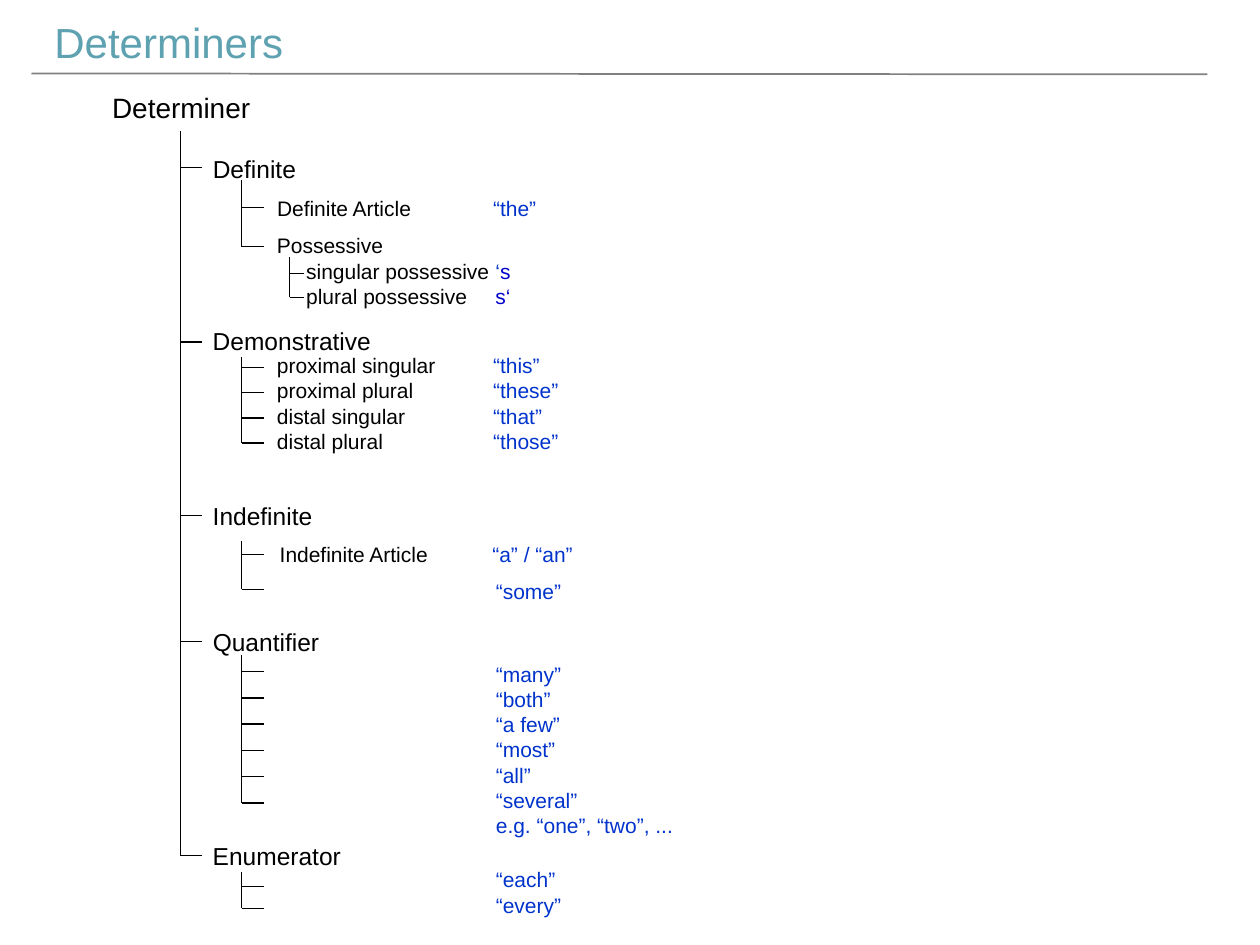
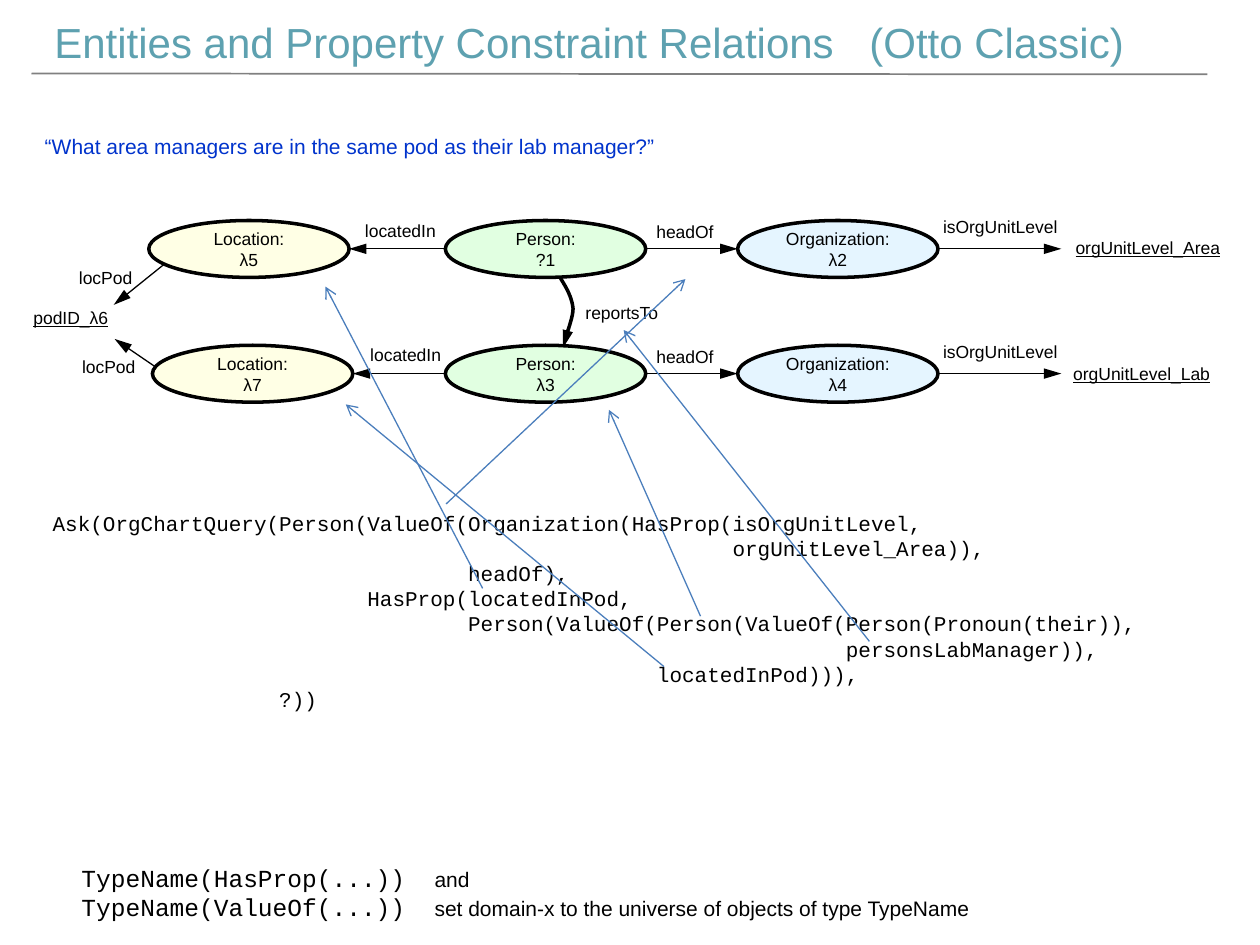
from dataclasses import dataclass, replace

import pptx
import pptx.dml.color
import pptx.enum.shapes
import pptx.enum.text
import pptx.oxml.ns
import pptx.util
from lxml import etree

Pt = pptx.util.Pt


@dataclass(frozen=True)
class TextStyle:
    size: float
    color: str = "000000"
    font: str = "Arial"
    underline: bool = False


TITLE = TextStyle(24, "5EA1B0")
ROOT = TextStyle(16)
CATEGORY = TextStyle(14)
BODY = TextStyle(12)
EXAMPLE = replace(BODY, color="0033CC")
SUFFIX = replace(BODY, color="0000CC")
LABEL = TextStyle(10)
VALUE = replace(LABEL, underline=True)
CODE = TextStyle(12, font="Courier New")
PATTERN = replace(CODE, size=14)

BLACK, RULE_GREY, LINK_BLUE = "000000", "808080", "4B7EBC"
LOCATION, PERSON, ORGANIZATION = "FFFFE5", "E1FFE1", "E5F5FF"


def rgb(color):
    return pptx.dml.color.RGBColor.from_string(color)


def add_element(parent, tag, **attributes):
    element = etree.SubElement(parent, pptx.oxml.ns.qn(tag))
    for name, value in attributes.items():
        element.set(name, str(value))
    return element


def curve_points(start, first_control, second_control, end, steps=12):
    """Points along a cubic curve, without its start."""
    points = []
    for step in range(1, steps + 1):
        t = step / steps
        weights = ((1 - t) ** 3, 3 * t * (1 - t) ** 2, 3 * t * t * (1 - t), t ** 3)
        corners = (start, first_control, second_control, end)
        points.append(tuple(sum(weight * corner[axis] for weight, corner in zip(weights, corners))
                            for axis in (0, 1)))
    return points


class Deck:
    def __init__(self):
        self.presentation = pptx.Presentation()
        self.presentation.slide_width = Pt(720)
        self.presentation.slide_height = Pt(540)
        self.slide = None

    def new_slide(self, title, width, tabs=()):
        self.slide = self.presentation.slides.add_slide(self.presentation.slide_layouts[6])
        self.text(24, 6, width, 36, [[(title, TITLE)]], tabs)
        self.line(18, 42, 690, 42.5, RULE_GREY, 1)

    def fill_frame(self, frame, paragraphs, tabs=(), alignment=None):
        """Write paragraphs, each a list of (text, style) runs."""
        for index, runs in enumerate(paragraphs):
            paragraph = frame.add_paragraph() if index else frame.paragraphs[0]
            if tabs:
                tab_list = add_element(paragraph._p.get_or_add_pPr(), "a:tabLst")
                for position in tabs:
                    add_element(tab_list, "a:tab", pos=int(Pt(position)), algn="l")
            if alignment is not None:
                paragraph.alignment = alignment
            for text, style in runs:
                run = paragraph.add_run()
                run.text = text
                run.font.name = style.font
                run.font.size = Pt(style.size)
                run.font.color.rgb = rgb(style.color)
                if style.underline:
                    run.font.underline = True

    def text(self, left, top, width, height, paragraphs, tabs=(), wrap=False):
        box = self.slide.shapes.add_textbox(Pt(left), Pt(top), Pt(width), Pt(height))
        frame = box.text_frame
        frame.word_wrap = wrap or bool(tabs)
        frame.auto_size = pptx.enum.text.MSO_AUTO_SIZE.SHAPE_TO_FIT_TEXT
        self.fill_frame(frame, paragraphs, tabs)

    def label(self, left, top, width, text, style=LABEL):
        self.text(left, top, width, style.size * 1.2 + 7.2, [[(text, style)]])

    def style_line(self, line, color, weight, arrow, arrow_length):
        line.color.rgb = rgb(color)
        line.width = Pt(weight)
        if arrow:
            add_element(line._get_or_add_ln(), "a:tailEnd", type=arrow, w="med", len=arrow_length)

    def line(self, x1, y1, x2, y2, color=BLACK, weight=0.75, arrow=None, arrow_length="lg"):
        connector = self.slide.shapes.add_connector(
            pptx.enum.shapes.MSO_CONNECTOR.STRAIGHT, Pt(x1), Pt(y1), Pt(x2), Pt(y2))
        self.style_line(connector.line, color, weight, arrow, arrow_length)
        add_element(connector._element.spPr, "a:effectLst")

    def branch(self, x, top, ticks, length=12.5):
        """A trunk down to the last tick, with a tick to the right at each height."""
        self.line(x, ticks[-1], x, top)
        for y in ticks:
            self.line(x + length, y, x, y)

    def entity(self, left, top, kind, variable, color):
        shape = self.slide.shapes.add_shape(
            pptx.enum.shapes.MSO_SHAPE.OVAL, Pt(left), Pt(top), Pt(114.5), Pt(32.5))
        shape.shadow.inherit = False
        shape.fill.solid()
        shape.fill.fore_color.rgb = rgb(color)
        self.style_line(shape.line, BLACK, 2, None, None)
        frame = shape.text_frame
        frame.margin_left = frame.margin_right = frame.margin_top = frame.margin_bottom = 0
        frame.vertical_anchor = pptx.enum.text.MSO_ANCHOR.MIDDLE
        self.fill_frame(frame, [[(f"{kind}:", LABEL)], [(variable, LABEL)]],
                        alignment=pptx.enum.text.PP_ALIGN.CENTER)

    def curved_arrow(self, start, segments):
        points, here = [], start
        for first_control, second_control, end in segments:
            points += curve_points(here, first_control, second_control, end)
            here = end
        builder = self.slide.shapes.build_freeform(Pt(start[0]), Pt(start[1]))
        builder.add_line_segments([(Pt(x), Pt(y)) for x, y in points], close=False)
        shape = builder.convert_to_shape()
        shape.shadow.inherit = False
        shape.fill.background()
        self.style_line(shape.line, BLACK, 2, "triangle", "lg")


def build_determiners(deck):
    deck.new_slide("Determiners", 147)
    deck.label(57, 48, 94.5, "Determiner", ROOT)
    for name, top, width in (("Definite", 84.2, 62.5), ("Demonstrative", 182.5, 105),
                             ("Indefinite", 282.5, 72), ("Quantifier", 354.5, 75.5),
                             ("Enumerator", 477, 88)):
        deck.label(114.5, top, width, name, CATEGORY)

    example_tab = 123.5
    deck.text(151.2, 108, 165, 21.6, [[("Definite Article\t", BODY), ("“the”", EXAMPLE)]],
              [example_tab])
    deck.text(151.2, 129.6, 158, 51, [
        [("Possessive", BODY)],
        [("\tsingular possessive\t", BODY), ("‘", EXAMPLE), ("s", SUFFIX)],
        [("\tplural possessive\t", BODY), ("s‘", SUFFIX)]], [16.7, 124.8])
    demonstratives = (("proximal singular", "“this”"), ("proximal plural", "“these”"),
                      ("distal singular", "“that”"), ("distal plural", "“those”"))
    deck.text(151.2, 198, 183, 65.5,
              [[(f"{name}\t", BODY), (word, EXAMPLE)] for name, word in demonstratives],
              [example_tab])
    deck.text(152.8, 306, 191, 21.6,
              [[("Indefinite Article\t", BODY), ("“a” / “an”", EXAMPLE)]], [121.5])

    quantifiers = ["“many”", "“both”", "“a few”", "“most”", "“all”", "“several”",
                   "e.g. “one”, “two”, ..."]
    for top, width, words in ((326.9, 52, ["“some”"]), (374.4, 117.4, quantifiers),
                              (491.8, 52, ["“each”", "“every”"])):
        deck.text(276.3, top, width, 14.5 * len(words) + 7.2,
                  [[(word, EXAMPLE)] for word in words])

    deck.branch(103, 75, [95.9, 195.5, 294.5, 366.5, 488.8])
    deck.branch(165.6, 147, [156.2, 170], 8)
    for top, ticks in ((103, [118.7, 141]),
                       (203.8, [210.2 + 14.3 * row for row in range(4)]),
                       (309, [316.8, 336.8]),
                       (374.4, [383.8 + 15 * row for row in range(6)]),
                       (498.2, [506.7, 519])):
        deck.branch(138.2, top, ticks)


def build_entities(deck):
    deck.new_slide("Entities and Property Constraint Relations\t(Otto Classic)", 632, [465.8])
    deck.label(18.5, 73, 366, "“What area managers are in the same pod as their lab manager?”",
               EXAMPLE)

    person_left, organization_left, level_left, oval_width = 254.5, 421.5, 606.5, 114.5
    rows = ((126, 85, "λ5", "?1", "λ2", 201.5), (197.3, 87.1, "λ7", "λ3", "λ4", 204.5))
    for top, location_left, location, person, organization, located_left in rows:
        middle = top + 16.2
        deck.entity(location_left, top, "Location", location, LOCATION)
        deck.entity(person_left, top, "Person", person, PERSON)
        deck.entity(organization_left, top, "Organization", organization, ORGANIZATION)
        for start, end in ((person_left, location_left + oval_width),
                           (person_left + oval_width, organization_left),
                           (organization_left + oval_width, level_left)):
            deck.line(start, middle, end, middle, arrow="triangle")
        deck.label(located_left, top - 4, 55.5, "locatedIn")
        deck.label(368, top - 3, 47.5, "headOf")
        deck.label(531.8, top - 6, 80.5, "isOrgUnitLevel")

    deck.label(607.5, 132, 98, "orgUnitLevel_Area", VALUE)
    deck.label(606.2, 204, 93, "orgUnitLevel_Lab", VALUE)
    deck.label(12, 172, 59, "podID_λ6", VALUE)
    deck.label(38, 149, 45.5, "locPod")
    deck.label(39.8, 200, 45.5, "locPod")
    deck.line(93.6, 151.2, 65, 174.2, arrow="triangle")
    deck.line(88.6, 209.5, 65.5, 193.7, arrow="triangle")
    deck.curved_arrow((320.4, 159.1), [((322.6, 162.7), (326.9, 169.2), (327.5, 176.4)),
                                       ((327.5, 182.9), (321.8, 195.1), (321.8, 198.7))])
    deck.label(327.5, 169, 57.5, "reportsTo")

    query = ((0, "Ask(OrgChartQuery(Person(ValueOf(Organization(HasProp(isOrgUnitLevel,"),
             (54, "orgUnitLevel_Area)),"),
             (33, "headOf),"),
             (25, "HasProp(locatedInPod,"),
             (33, "Person(ValueOf(Person(ValueOf(Person(Pronoun(their)),"),
             (63, "personsLabManager)),"),
             (48, "locatedInPod))),"),
             (18, "?))"))
    deck.text(23, 288, 690, 124, [[(" " * indent + code, CODE)] for indent, code in query],
              wrap=True)
    patterns = (("TypeName(HasProp(...))", "and"),
                ("TypeName(ValueOf(...))",
                 "set domain-x to the universe of objects of type TypeName"))
    deck.text(39.5, 489.6, 526, 41,
              [[(f"{pattern}\t", PATTERN), (meaning, BODY)] for pattern, meaning in patterns],
              [201.8])

    for link in ((254.9, 288, 391.7, 159.5), (275.8, 336.2, 186, 163.8),
                 (379.4, 380.9, 197.6, 231.1), (400.3, 352.1, 348, 234.2),
                 (496.8, 366.5, 356.4, 188.6)):
        deck.line(*link, color=LINK_BLUE, arrow="arrow", arrow_length="med")


def main():
    deck = Deck()
    build_determiners(deck)
    build_entities(deck)
    deck.presentation.save("out.pptx")


if __name__ == "__main__":
    main()
